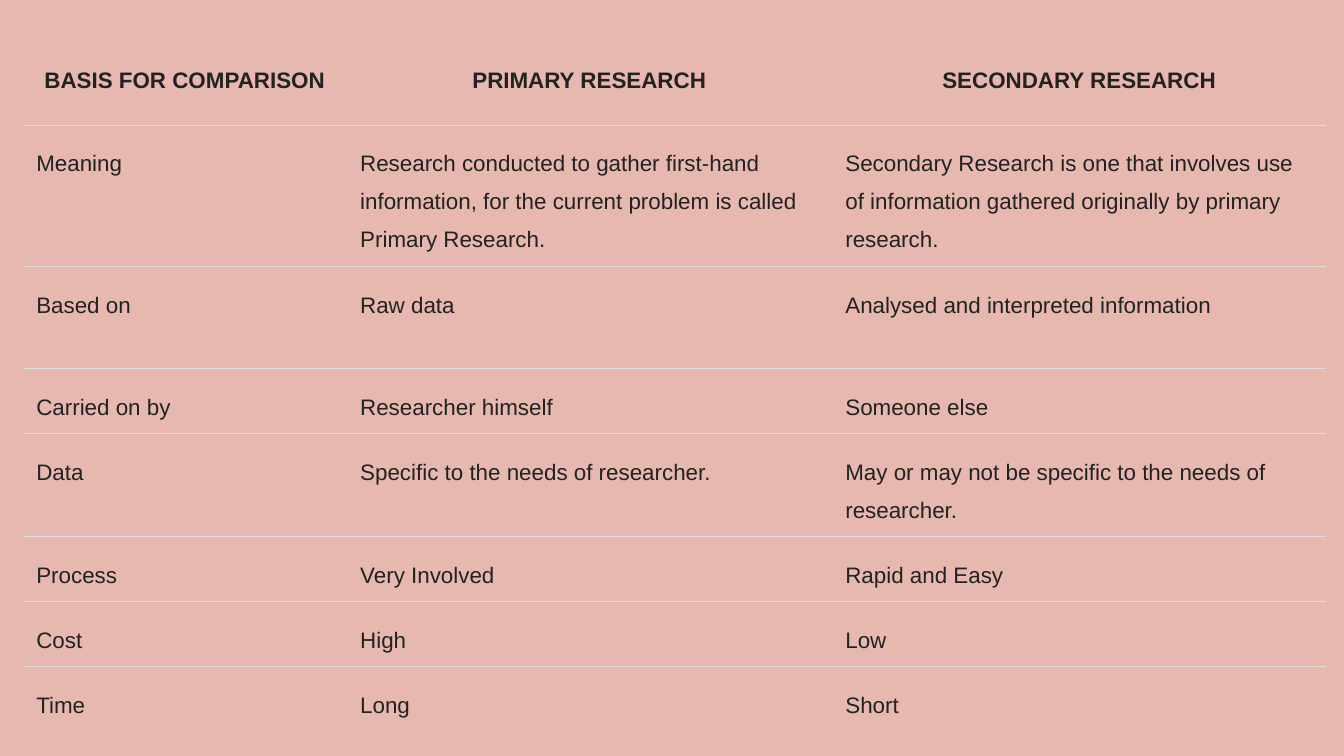
from lxml import etree
from pptx import Presentation
from pptx.dml.color import RGBColor
from pptx.enum.text import MSO_ANCHOR, PP_ALIGN
from pptx.oxml.ns import qn
from pptx.util import Inches, Pt

CENTER, LEFT = PP_ALIGN.CENTER, PP_ALIGN.LEFT
MIDDLE, TOP = MSO_ANCHOR.MIDDLE, MSO_ANCHOR.TOP

BACKGROUND, TEXT, RULE = "E6B8AF", "222222", "DDDDDD"
NO_STYLE = "{2D5ABB26-0587-4C30-8999-92F81FD0307C}"

COL_WIDTHS = [2.41, 3.61, 3.68]
ROW_HEIGHTS = [0.76, 0.99, 0.76, 0.47, 0.76, 0.47, 0.47, 0.47]
ROWS = [
    ("BASIS FOR COMPARISON", "PRIMARY RESEARCH", "SECONDARY RESEARCH"),
    ("Meaning",
     "Research conducted to gather first-hand information, for the current "
     "problem is called Primary Research.",
     "Secondary Research is one that involves use of information gathered "
     "originally by primary research."),
    ("Based on", "Raw data", "Analysed and interpreted information"),
    ("Carried on by", "Researcher himself", "Someone else"),
    ("Data", "Specific to the needs of researcher.",
     "May or may not be specific to the needs of researcher."),
    ("Process", "Very Involved", "Rapid and Easy"),
    ("Cost", "High", "Low"),
    ("Time", "Long", "Short"),
]


def color(value):
    return RGBColor.from_string(value)


def set_borders(cell, ruled_sides):
    """Draw a thin rule on the given sides and clear the others."""
    tc_pr = cell._tc.get_or_add_tcPr()
    for side in "LRTB":
        ln = etree.SubElement(tc_pr, qn(f"a:ln{side}"), w=str(Pt(0.5)))
        if side in ruled_sides:
            fill = etree.SubElement(ln, qn("a:solidFill"))
            etree.SubElement(fill, qn("a:srgbClr"), val=RULE)
        else:
            etree.SubElement(ln, qn("a:noFill"))


def fill_cell(cell, text, header):
    cell.margin_left = cell.margin_right = Inches(0.1)
    cell.margin_top = cell.margin_bottom = Inches(0.1)
    cell.vertical_anchor = MIDDLE if header else TOP
    cell.fill.background()
    cell.text = text
    p = cell.text_frame.paragraphs[0]
    p.alignment = CENTER if header else LEFT
    p.line_spacing = 1.52
    p.font.name = "Arial"
    p.font.size = Pt(12)
    p.font.bold = header
    p.font.color.rgb = color(TEXT)


def add_comparison_table(s, left, top):
    frame = s.shapes.add_table(
        len(ROWS), len(COL_WIDTHS), Inches(left), Inches(top),
        Inches(sum(COL_WIDTHS)), Inches(sum(ROW_HEIGHTS)))
    table = frame.table
    table.first_row = table.horz_banding = False
    table._tbl.tblPr.find(qn("a:tableStyleId")).text = NO_STYLE

    for column, width in zip(table.columns, COL_WIDTHS):
        column.width = Inches(width)
    for row, height in zip(table.rows, ROW_HEIGHTS):
        row.height = Inches(height)

    # Rules run between rows only, not around the table
    last = len(ROWS) - 1
    for i, texts in enumerate(ROWS):
        sides = ("T" if i > 0 else "") + ("B" if i < last else "")
        for j, text in enumerate(texts):
            cell = table.cell(i, j)
            set_borders(cell, sides)
            fill_cell(cell, text, header=i == 0)


def main():
    # Widescreen slide, 16:9
    prs = Presentation()
    prs.slide_width = Inches(10)
    prs.slide_height = prs.slide_width * 9 // 16
    s = prs.slides.add_slide(prs.slide_layouts[6])

    # Background
    s.background.fill.solid()
    s.background.fill.fore_color.rgb = color(BACKGROUND)

    # Comparison table
    add_comparison_table(s, 0.17, 0.17)
    prs.save("out.pptx")


if __name__ == "__main__":
    main()
